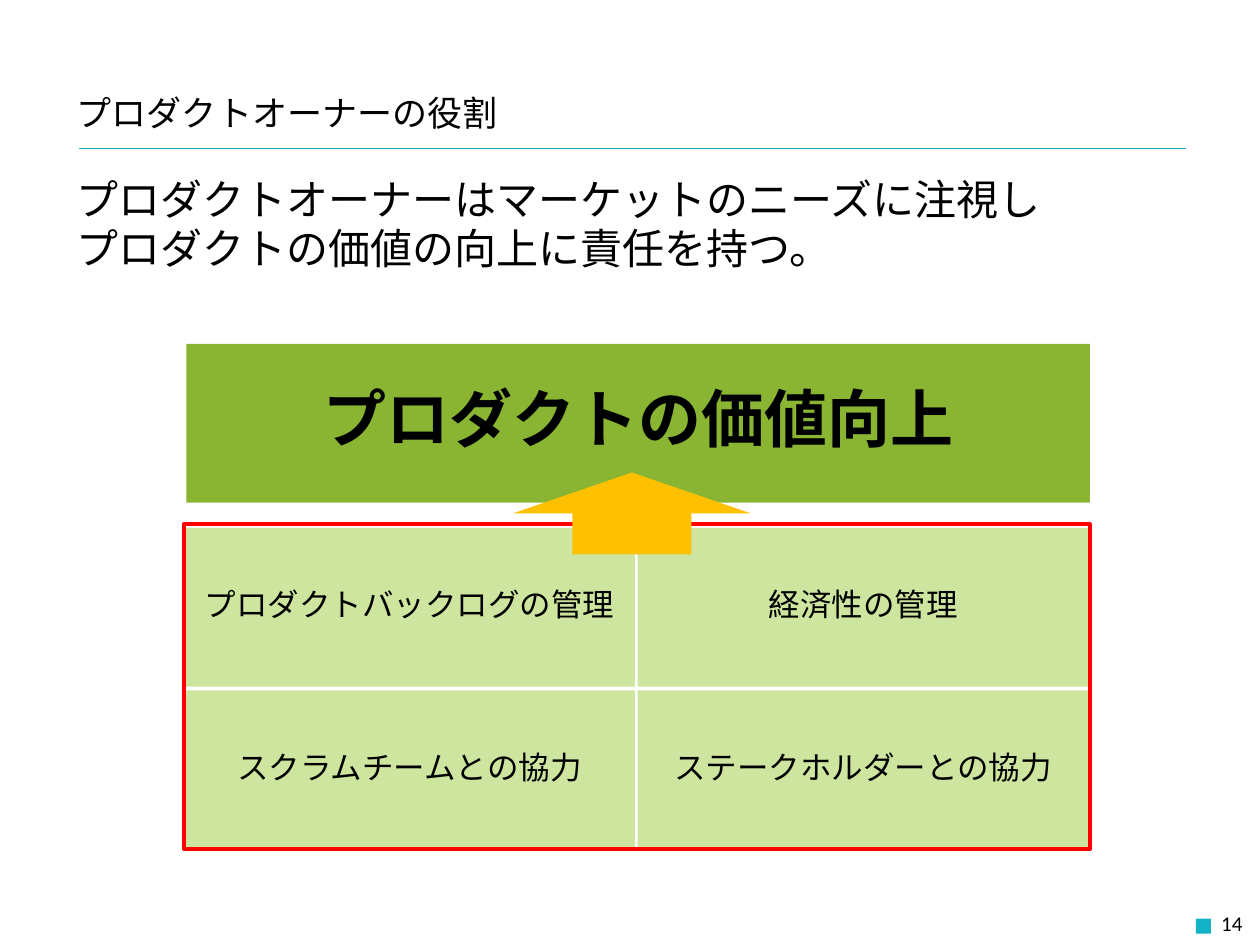
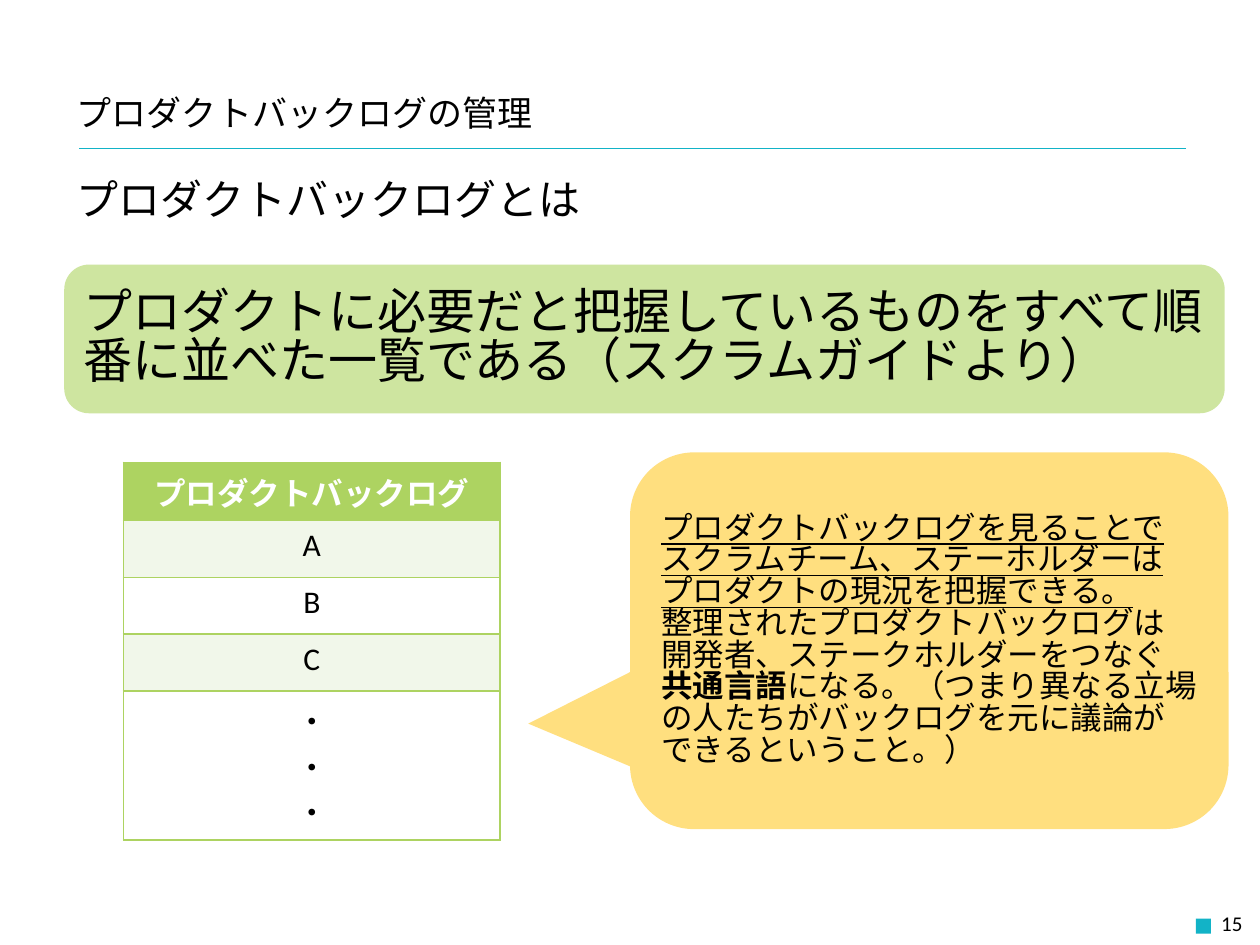
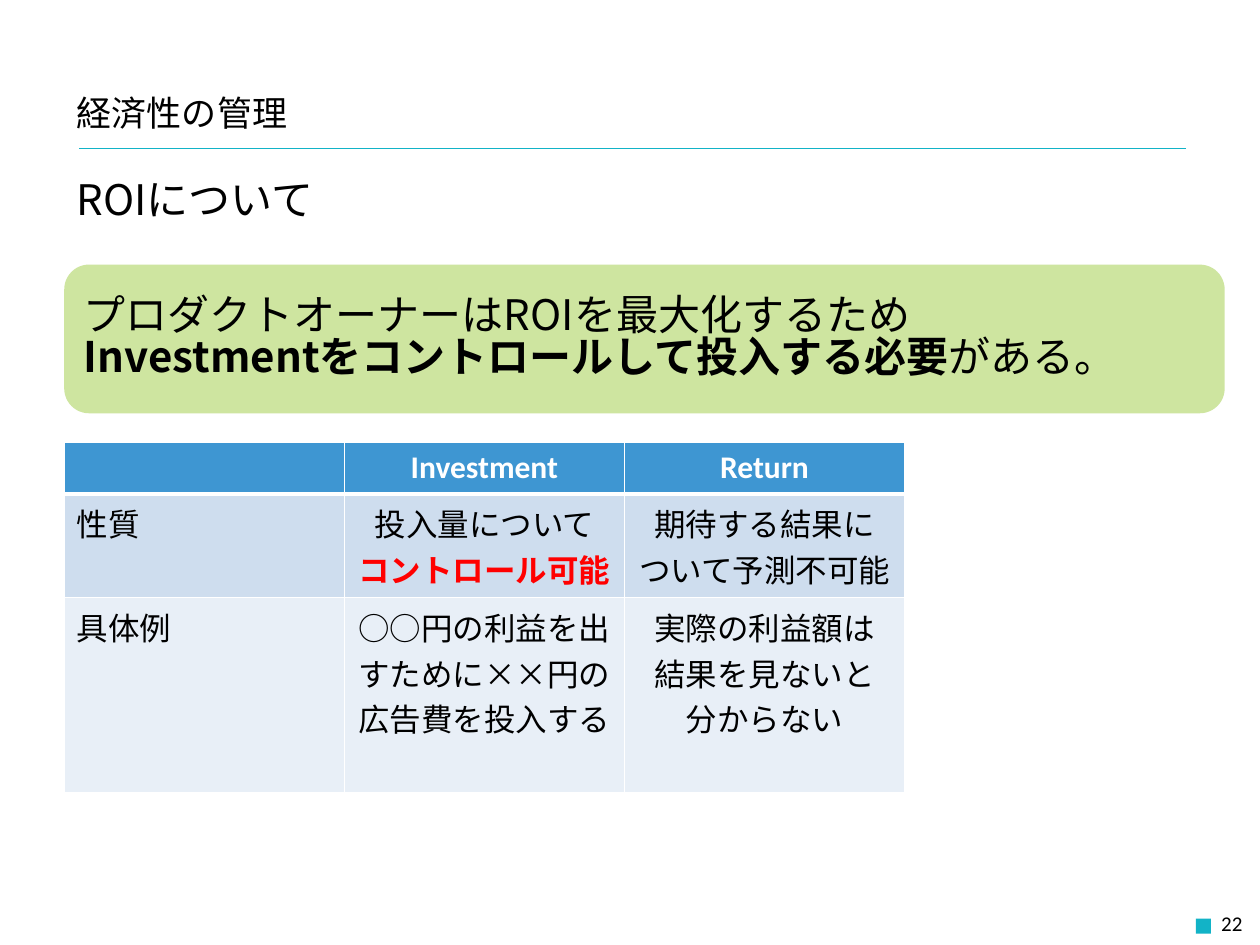
import pptx
import pptx.util
import pptx.dml.color
import pptx.enum.shapes
import pptx.enum.text
import pptx.oxml
import pptx.oxml.ns

Pt = pptx.util.Pt
qn = pptx.oxml.ns.qn
KIND = pptx.enum.shapes.MSO_SHAPE
ALIGN = pptx.enum.text.PP_ALIGN
MID = pptx.enum.text.MSO_ANCHOR.MIDDLE
TOP = pptx.enum.text.MSO_ANCHOR.TOP

# Shared look
GOTHIC, LATIN = "Noto Sans CJK JP", "Calibri"
BLACK, WHITE, RED = "000000", "FFFFFF", "FF0000"
TEAL, LEAF, PALE, LIME, MIST = "12B3C7", "89B532", "CEE5A0", "ADD361", "F1F7EA"
GOLD, BLUE, SKY, ICE = "FFC000", "3E96D2", "CEDDEE", "E8EFF7"
TIGHT = 0.84  # line spacing outside tables

# Slide of 100 columns by 75 square rows
deck = pptx.Presentation()
deck.slide_width = pptx.util.Inches(10)
deck.slide_height = pptx.util.Inches(7.5)
unit = deck.slide_width / 100


def tint(fill, code):
    """Fill a shape, line, cell or font with one hex colour."""
    fill.solid()
    fill.fore_color.rgb = pptx.dml.color.RGBColor.from_string(code)


def write(frame, text, size=18, font=GOTHIC, color=BLACK, bold=False, under=False,
          align=ALIGN.LEFT, lead=1, gap=0, anchor=MID):
    """Write a list of paragraphs; each is a string or a list of (string, format) runs."""
    frame.word_wrap = True
    frame.auto_size = pptx.enum.text.MSO_AUTO_SIZE.NONE
    frame.vertical_anchor = anchor
    for i, runs in enumerate(text):
        para = frame.paragraphs[0] if i == 0 else frame.add_paragraph()
        para.alignment, para.line_spacing = align, lead
        para.space_before = Pt(gap)
        for words, own in [(runs, {})] if isinstance(runs, str) else runs:
            run = para.add_run()
            run.text = words
            run.font.size, run.font.name = Pt(size), font
            run.font.bold = own.get("bold", bold)
            run.font.underline = own.get("under", under)
            tint(run.font.fill, own.get("color", color))
            east = pptx.oxml.parse_xml(
                f'<a:ea {pptx.oxml.ns.nsdecls("a")} typeface="{GOTHIC}"/>')
            run.font.fill  # the east Asian face follows the latin one
            run.font._element.find(qn("a:latin")).addnext(east)


# Slide 1: one goal above a two by two grid of duties
duties = ["プロダクトバックログの管理", "経済性の管理",
          "スクラムチームとの協力", "ステークホルダーとの協力"]
roles = [dict(box=(14.8, 27.3, 71.7, 12.6), fill=LEAF, text=["プロダクトの価値向上"],
              look=dict(size=36, bold=True, align=ALIGN.CENTER))]
for i, duty in enumerate(duties):
    roles.append(dict(box=(14.6 + 36 * (i % 2), 41.9 + 12.9 * (i // 2), 35.8, 12.6),
                      fill=PALE, text=[duty], look=dict(align=ALIGN.CENTER)))
roles.append(dict(box=(14.6, 41.6, 71.9, 25.8), edge=RED))
roles.append(dict(kind=KIND.UP_ARROW, box=(40.7, 37.5, 18.9, 6.5), fill=GOLD))

# Slides 2 and 3: a green band, a table and a callout
band = dict(kind=KIND.ROUNDED_RECTANGLE, box=(5.1, 21, 92.1, 11.8), fill=PALE)
line = dict(under=True)
note = dict(
    kind=KIND.ROUNDED_RECTANGULAR_CALLOUT, box=(50, 35.9, 47.5, 29.9), fill=GOLD,
    alpha=50, bend=(-0.67, 0.22, 0.17), look={},
    text=[[("プロダクトバックログを見ることで", line)],
          [("スクラムチーム、ステーホルダーは", line)],
          [("プロダクトの現況を把握できる。", line)],
          "整理されたプロダクトバックログは",
          "開発者、ステークホルダーをつなぐ",
          [("共通言語", dict(bold=True)),
           ("になる。（つまり異なる立場の人たちがバックログを元に議論が", {})],
          "できるということ。）"])
items = dict(
    box=(9.8, 36.7, 29.9, 29.2), rows=(4.5, 4.5, 4.5, 4.5, 11.2), edge=LIME, rule=1,
    fills=(LIME, MIST, WHITE, MIST, WHITE), font=LATIN, side=False,
    cells=[[["プロダクトバックログ"]], [["A"]], [["B"]], [["C"]], [["・"] * 3]])
yields = dict(
    box=(5.1, 35.1, 66.7, 12.3), rows=(4.1,) * 3, edge=WHITE, rule=3,
    fills=(BLUE, SKY, ICE), font=GOTHIC, side=True,
    cells=[[[], ["Investment"], ["Return"]],
           [["性質"],
            ["投入量について", [("コントロール可能", dict(color=RED, bold=True))]],
            ["期待する結果に", "ついて予測不可能"]],
           [["具体例"], ["○○円の利益を出すために××円の広告費を投入する"],
            ["実際の利益額は", "結果を見ないと", "分からない"]]])

pages = [
    dict(number=14, title="プロダクトオーナーの役割", shapes=roles, deep=57.5,
         body=["プロダクトオーナーはマーケットのニーズに注視し",
               "プロダクトの価値の向上に責任を持つ。"]),
    dict(number=15, title="プロダクトバックログの管理", body=["プロダクトバックログとは"],
         deep=57.5, table=items,
         shapes=[dict(band, look=dict(size=28), text=[
             "プロダクトに必要だと把握しているものをすべて順番に並べた一覧である"
             "（スクラムガイドより）"]), note]),
    dict(number=22, title="経済性の管理", body=["ROIについて"], deep=5.5, table=yields,
         shapes=[dict(band, look=dict(size=24), text=[
             "プロダクトオーナーはROIを最大化するため",
             [("Investmentをコントロールして投入する必要", dict(bold=True)),
              ("がある。", {})]])]),
]

for page in pages:
    slide = deck.slides.add_slide(deck.slide_layouts[1])

    # Title and body
    head, body = slide.placeholders
    for holder, box in ((head, (5.1, 7.2, 68.5, 3.5)), (body, (5.1, 13.9, 92.1, page["deep"]))):
        holder.left, holder.top, holder.width, holder.height = [round(n * unit) for n in box]
    write(head.text_frame, [page["title"]], size=20)
    write(body.text_frame, page["body"], size=24, lead=TIGHT, gap=4, anchor=TOP)
    for para in body.text_frame.paragraphs:
        form = para._p.get_or_add_pPr()
        form.set("marL", "0")
        form.set("indent", "0")
        form.append(pptx.oxml.parse_xml(f'<a:buNone {pptx.oxml.ns.nsdecls("a")}/>'))

    # Title rule and page number
    rule = slide.shapes.add_connector(
        pptx.enum.shapes.MSO_CONNECTOR.STRAIGHT,
        *[round(n * unit) for n in (6.3, 11.8, 94.1, 11.8)])
    tint(rule.line.fill, TEAL)
    rule.line.width = Pt(0.25)
    rule._element.spPr.append(
        pptx.oxml.parse_xml(f'<a:effectLst {pptx.oxml.ns.nsdecls("a")}/>'))
    foot = slide.shapes.add_textbox(*[round(n * unit) for n in (76.3, 71.3, 23.3, 4)])
    write(foot.text_frame, [str(page["number"])], size=12, font=LATIN, align=ALIGN.RIGHT)

    # Shapes, after the small footer square
    for spec in [dict(box=(94.9, 72.9, 1.2, 1.2), fill=TEAL)] + page["shapes"]:
        shape = slide.shapes.add_shape(spec.get("kind", KIND.RECTANGLE),
                                       *[round(n * unit) for n in spec["box"]])
        shape.shadow.inherit = False
        if "fill" in spec:
            tint(shape.fill, spec["fill"])
        else:
            shape.fill.background()
        if "edge" in spec:
            tint(shape.line.fill, spec["edge"])
            shape.line.width = Pt(2)
        else:
            shape.line.fill.background()
        for i, bend in enumerate(spec.get("bend", ())):
            shape.adjustments[i] = bend
        if "alpha" in spec:
            tone = shape._element.spPr.find(qn("a:solidFill"))[0]
            tone.append(pptx.oxml.parse_xml(
                f'<a:alpha {pptx.oxml.ns.nsdecls("a")} val="{spec["alpha"] * 1000}"/>'))
        if "text" in spec:
            write(shape.text_frame, spec["text"], lead=TIGHT, **spec["look"])
            if "align" not in spec["look"]:
                shape.text_frame.margin_right = pptx.util.Inches(0.02)

    # Table: a bold white header over tinted rows
    if "table" in page:
        spec = page["table"]
        cells = spec["cells"]
        table = slide.shapes.add_table(len(cells), len(cells[0]),
                                       *[round(n * unit) for n in spec["box"]]).table
        for r, texts in enumerate(cells):
            table.rows[r].height = round(spec["rows"][r] * unit)
            for c, text in enumerate(texts):
                cell = table.cell(r, c)
                first = r == 0
                left = spec["side"] and c == 0
                write(cell.text_frame, text, bold=first, color=WHITE if first else BLACK,
                      font=LATIN if first else spec["font"], anchor=TOP,
                      align=ALIGN.LEFT if left else ALIGN.CENTER)
                form = cell._tc.get_or_add_tcPr()
                for side in "LRTB":
                    heavy = (first and side == "B") or (r == 1 and side == "T")
                    wide = Pt(spec["rule"] if heavy else 1)
                    form.append(pptx.oxml.parse_xml(
                        f'<a:ln{side} {pptx.oxml.ns.nsdecls("a")} w="{wide}"><a:solidFill>'
                        f'<a:srgbClr val="{spec["edge"]}"/></a:solidFill></a:ln{side}>'))
                tint(cell.fill, spec["fills"][r])

deck.save("out.pptx")
